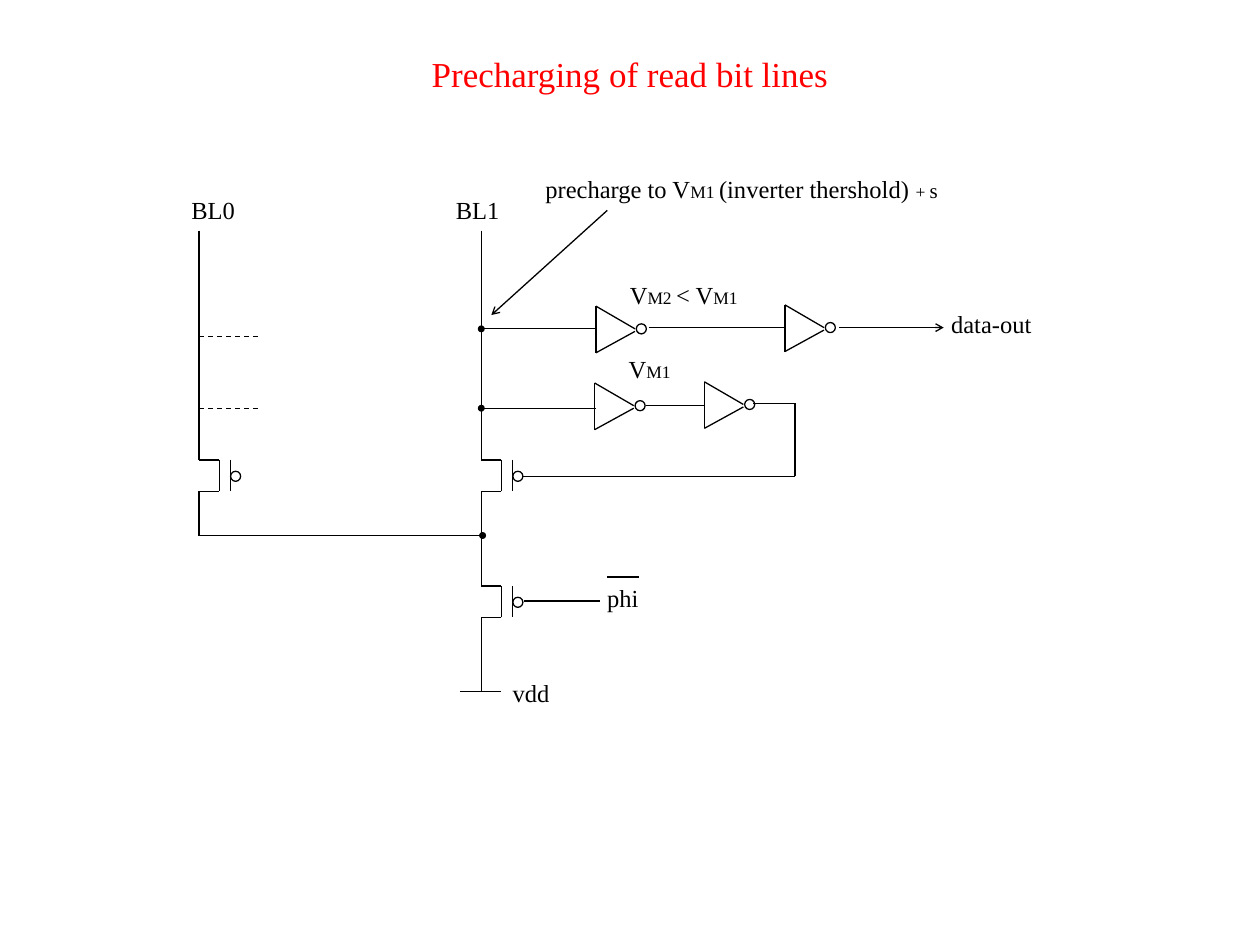
from lxml.etree import SubElement as Sub
from pptx import Presentation as Deck
from pptx.dml.color import RGBColor as Rgb
from pptx.enum.dml import MSO_LINE as Dash
from pptx.enum.shapes import MSO_CONNECTOR as Conn, MSO_SHAPE as Shape
from pptx.enum.text import MSO_ANCHOR as Anchor, MSO_AUTO_SIZE as Auto, PP_ALIGN as Align
from pptx.oxml.ns import qn
from pptx.util import Inches, Pt

BLACK = "000000"
FONT = "Times New Roman"
DOT = 0.08


def color(code):
    """Turn a hex string into a colour."""
    return Rgb.from_string(code)


def write(frame, *runs, hue=BLACK, align=Align.LEFT, anchor=Anchor.TOP, wrap=False):
    """Fill a text frame with one paragraph of (text, size) runs."""
    frame.word_wrap = wrap
    frame.vertical_anchor = anchor
    para = frame.paragraphs[0]
    para.alignment = align
    for text, size in runs:
        run = para.add_run()
        run.text = text
        run.font.name = FONT
        run.font.size = Pt(size)
        run.font.color.rgb = color(hue)


def label(page, x, y, wide, *runs):
    """Place a one-line label."""
    box = page.shapes.add_textbox(Inches(x), Inches(y), Inches(wide), Inches(0.34))
    write(box.text_frame, *runs)
    box.text_frame.auto_size = Auto.SHAPE_TO_FIT_TEXT


def wire(page, *points, head=None, tail=None, dash=False):
    """Join the points with straight lines, with optional end marks."""
    for (x1, y1), (x2, y2) in zip(points, points[1:]):
        link = page.shapes.add_connector(
            Conn.STRAIGHT, Inches(x1), Inches(y1), Inches(x2), Inches(y2))
        link.line.color.rgb = color(BLACK)
        link.line.width = Pt(0.75)
        if dash:
            link.line.dash_style = Dash.DASH
        props = link._element.spPr
        for tag, kind in (("a:headEnd", head), ("a:tailEnd", tail)):
            if kind:
                Sub(props.find(qn("a:ln")), qn(tag), type=kind, w="sm", len="sm")
        Sub(props, qn("a:effectLst"))


def bubble(page, x, y):
    """Draw the small inverting circle."""
    ring = page.shapes.add_shape(
        Shape.OVAL, Inches(x), Inches(y), Inches(DOT), Inches(DOT))
    ring.shadow.inherit = False
    ring.fill.background()
    ring.line.color.rgb = color(BLACK)
    ring.line.width = Pt(0.75)


def gate(page, x, y):
    """Draw a pMOS transistor hanging on a bit line at its source."""
    low = y + 0.25
    wire(page, (x, y), (x + 0.16, y), (x + 0.16, low), (x, low))
    wire(page, (x + 0.25, y), (x + 0.25, low))
    bubble(page, x + 0.25, y + 0.09)


def invert(page, x, y):
    """Draw an inverter with its top left corner at the given point."""
    wire(page, (x, y), (x, y + 0.37))
    wire(page, (x, y), (x + 0.31, y + 0.18))
    wire(page, (x, y + 0.37), (x + 0.31, y + 0.2))
    bubble(page, x + 0.32, y + 0.14)


def left(page, x, y):
    """Draw bit line 0 with its dashed taps and its transistor."""
    label(page, x - 0.16, y - 0.33, 0.56, ("BL0", 14))
    wire(page, (x, y), (x, y + 1.82))
    for drop in (0.84, 1.41):
        wire(page, (x, y + drop), (x + 0.5, y + drop), dash=True)
    gate(page, x, y + 1.82)
    wire(page, (x, y + 2.07), (x, y + 2.42))
    wire(page, (x + 2.25, y + 2.42), (x, y + 2.42), head="oval")


def right(page, x, y):
    """Draw bit line 1 down to the supply, with the clocked transistor."""
    label(page, x - 0.3, y - 0.33, 0.56, ("BL1", 14))
    wire(page, (x, y), (x, y + 1.82))
    gate(page, x, y + 1.82)
    wire(page, (x, y + 2.07), (x, y + 2.82))
    gate(page, x, y + 2.82)
    wire(page, (x, y + 3.07), (x, y + 3.66))
    wire(page, (x - 0.17, y + 3.66), (x + 0.16, y + 3.66))
    label(page, x + 0.15, y + 3.5, 0.5, ("vdd", 14))
    wire(page, (x + 0.34, y + 2.94), (x + 0.94, y + 2.94))
    label(page, x + 0.9, y + 2.75, 0.46, ("phi", 14))
    wire(page, (x + 1, y + 2.75), (x + 1.25, y + 2.75))


def output(page, x, y):
    """Draw the two inverters that lead to data-out."""
    wire(page, (x, y), (x + 0.91, y), head="oval")
    invert(page, x + 0.91, y - 0.18)
    wire(page, (x + 1.33, y - 0.01), (x + 2.41, y - 0.01))
    invert(page, x + 2.41, y - 0.19)
    wire(page, (x + 2.84, y - 0.01), (x + 3.67, y - 0.01), tail="arrow")
    label(page, x + 3.63, y - 0.21, 0.85, ("data-out", 14))
    label(page, x + 1.08, y - 0.44, 1.07,
          ("V", 14), ("M2 ", 10), ("< V", 14), ("M1", 10))


def loop(page, x, y):
    """Draw the two inverters that feed back to the transistor."""
    wire(page, (x, y), (x + 0.91, y), head="oval")
    invert(page, x + 0.9, y - 0.2)
    wire(page, (x + 1.31, y - 0.02), (x + 1.77, y - 0.02))
    invert(page, x + 1.77, y - 0.21)
    wire(page, (x + 2.16, y - 0.04), (x + 2.49, y - 0.04),
         (x + 2.49, y + 0.54), (x + 0.33, y + 0.54))
    label(page, x + 1.07, y - 0.48, 0.54, ("V", 14), ("M1", 10))


def note(page, x, y):
    """Write the precharge note with its arrow."""
    label(page, x, y, 3.38, ("precharge to V", 14), ("M1 ", 10),
          ("(inverter thershold) ", 14), ("+ ", 10), ("s", 12))
    wire(page, (x + 0.59, y + 0.34), (x - 0.33, y + 1.17), tail="arrow")


def heading(page, x, y, wide, high):
    """Place the slide title."""
    box = page.shapes.title
    box.left, box.top = Inches(x), Inches(y)
    box.width, box.height = Inches(wide), Inches(high)
    write(box.text_frame, ("Precharging of read bit lines", 20), hue="FF0000",
          align=Align.CENTER, anchor=Anchor.MIDDLE, wrap=True)


def main():
    """Build and save the slide."""
    deck = Deck()
    deck.slide_width, deck.slide_height = Inches(10), Inches(7.5)
    page = deck.slides.add_slide(deck.slide_layouts[5])
    heading(page, 0.75, 0.17, 8.5, 0.83)
    left(page, 1.58, 1.83)
    right(page, 3.82, 1.83)
    output(page, 3.82, 2.61)
    loop(page, 3.82, 3.24)
    note(page, 4.23, 1.33)
    deck.save("out.pptx")


if __name__ == "__main__":
    main()
